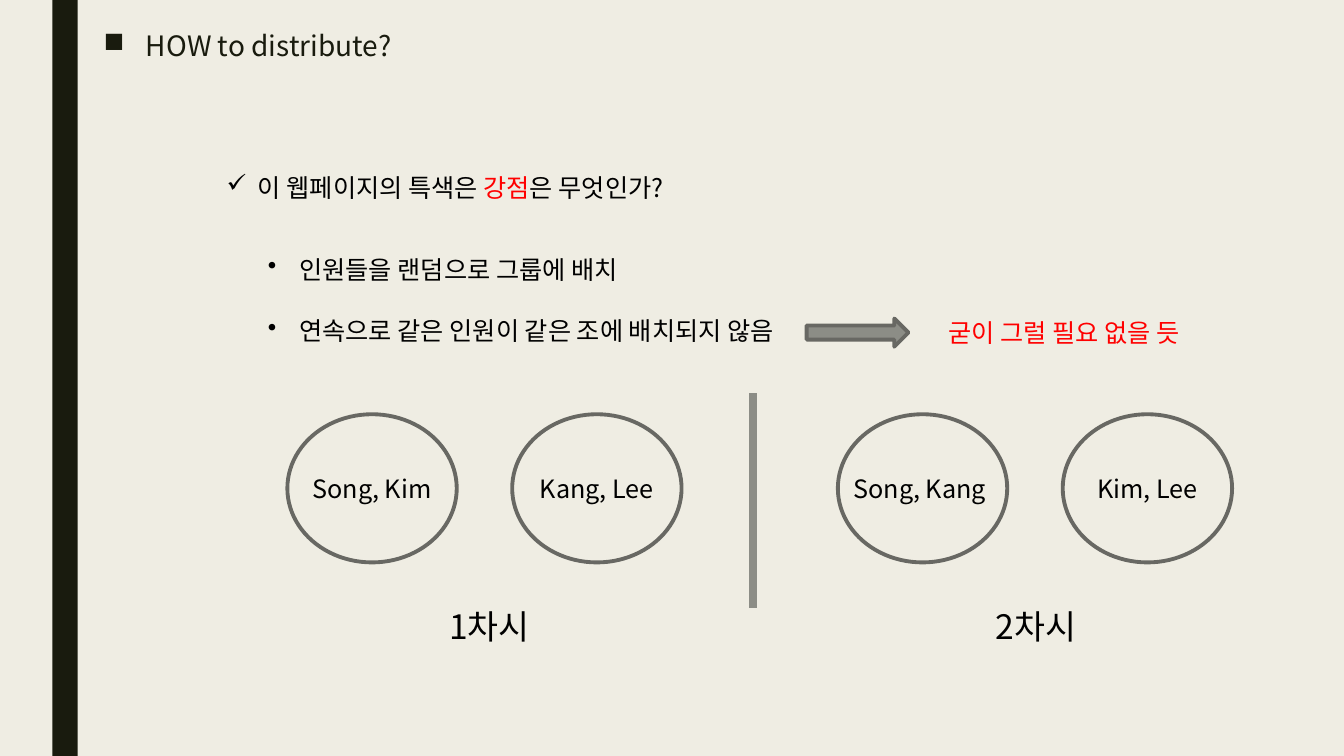
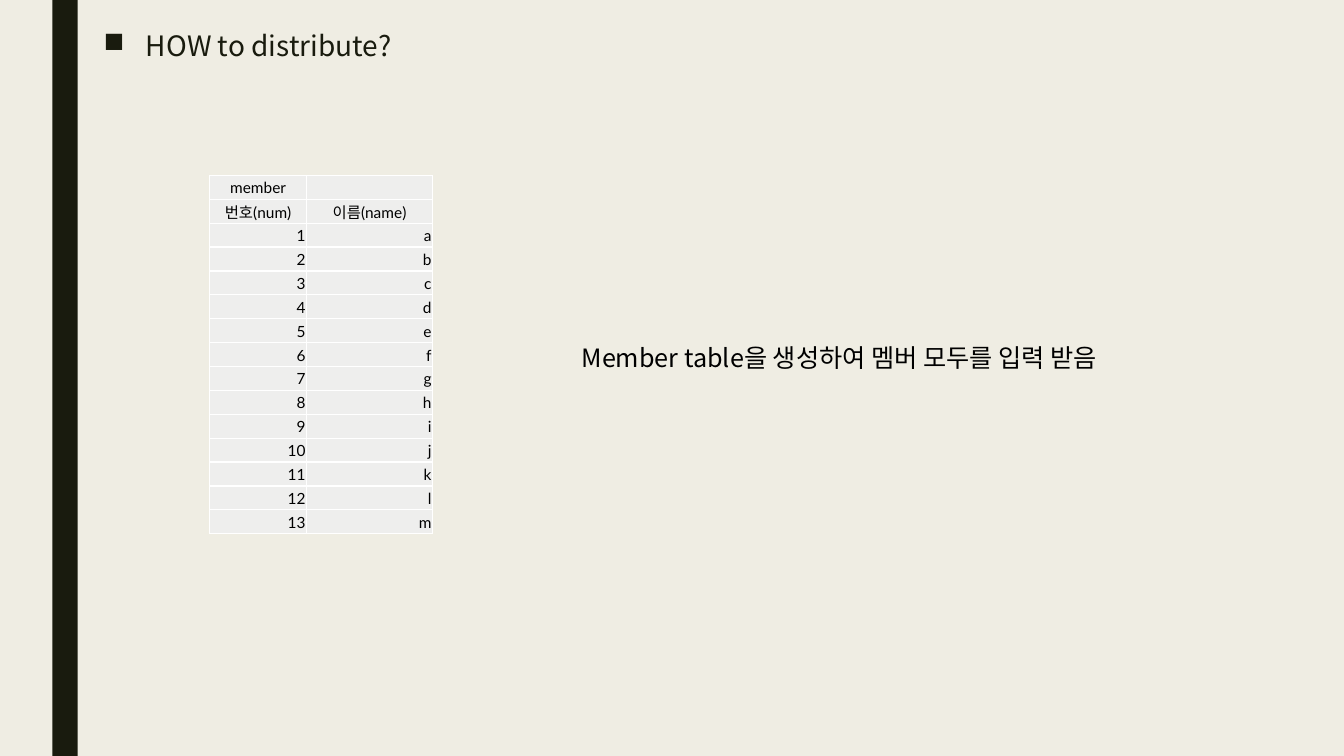
from lxml.etree import SubElement
from pptx import Presentation
from pptx.dml.color import RGBColor
from pptx.enum.shapes import MSO_CONNECTOR as Connector, MSO_SHAPE as Shape
from pptx.enum.text import MSO_ANCHOR as Anchor, MSO_AUTO_SIZE as AutoSize, PP_ALIGN as Align
from pptx.oxml.ns import qn
from pptx.util import Inches, Pt


def rgb(value):
    return RGBColor.from_string(value)


class Deck:
    BACKGROUND = "EFEDE3"
    DARK = "191B0E"
    BLACK = "000000"
    RED = "FF0000"
    GRAY = "8C8D86"
    OUTLINE = "686863"
    CELL = "EEEEED"
    BORDER = "FFFFFF"
    FONT = "Noto Sans CJK KR"
    TABLE_FONT = "Lato"

    def __init__(self):
        self.prs = Presentation()
        self.prs.slide_width = Inches(13.33)
        self.prs.slide_height = Inches(7.5)
        background = self.prs.slide_master.background.fill
        background.solid()
        background.fore_color.rgb = rgb(self.BACKGROUND)
        self.slide = None

    def add_slide(self, title):
        self.slide = self.prs.slides.add_slide(self.prs.slide_layouts[6])
        self.shape(Shape.RECTANGLE, 0.52, 0, 0.25, 7.5, fill=self.DARK)
        heading = self.text(0.93, 0.26, 7.47, 1.19, [(title, self.DARK)],
                            size=20, bullet="■", indent=0.42, grow=False)
        heading.line_spacing = 0.94
        heading.space_before = Pt(10)
        heading.space_after = Pt(2)

    def style_run(self, run, size, color, font):
        run.font.size = Pt(size)
        run.font.name = font
        run.font.color.rgb = rgb(color)
        east_asian = SubElement(run.font._element, qn("a:ea"))
        east_asian.set("typeface", self.FONT)

    def text(self, left, top, width, height, parts, size=18, align=Align.LEFT,
             bullet=None, indent=0.31, grow=True):
        box = self.slide.shapes.add_textbox(
            Inches(left), Inches(top), Inches(width), Inches(height))
        frame = box.text_frame
        frame.word_wrap = True
        frame.auto_size = AutoSize.SHAPE_TO_FIT_TEXT if grow else AutoSize.NONE
        paragraph = frame.paragraphs[0]
        paragraph.alignment = align
        for words, color in parts:
            run = paragraph.add_run()
            run.text = words
            self.style_run(run, size, color, self.FONT)
        if bullet:
            properties = paragraph._p.get_or_add_pPr()
            properties.set("marL", str(Inches(indent)))
            properties.set("indent", str(-Inches(indent)))
            SubElement(properties, qn("a:buChar")).set("char", bullet)
        return paragraph

    def shape(self, kind, left, top, width, height, fill=None, line=None):
        shape = self.slide.shapes.add_shape(
            kind, Inches(left), Inches(top), Inches(width), Inches(height))
        shape.shadow.inherit = False
        if fill:
            shape.fill.solid()
            shape.fill.fore_color.rgb = rgb(fill)
        else:
            shape.fill.background()
        if line:
            shape.line.color.rgb = rgb(line)
            shape.line.width = Pt(2.75)
        else:
            shape.line.fill.background()

    def divider(self, x, top, bottom):
        line = self.slide.shapes.add_connector(
            Connector.STRAIGHT, Inches(x), Inches(top), Inches(x), Inches(bottom))
        line.line.color.rgb = rgb(self.GRAY)
        line.line.width = Pt(6)
        SubElement(line._element.spPr, qn("a:effectLst"))

    def table(self, left, top, column_widths, height, rows, header_rows):
        frame = self.slide.shapes.add_table(
            len(rows), len(column_widths), Inches(left), Inches(top),
            Inches(sum(column_widths)), Inches(height))
        table = frame.table
        table.first_row = False
        table.horz_banding = False
        for column, width in zip(table.columns, column_widths):
            column.width = Inches(width)
        for index, values in enumerate(rows):
            table.rows[index].height = Inches(height / len(rows))
            align = Align.CENTER if index < header_rows else Align.RIGHT
            for cell, value in zip(table.rows[index].cells, values):
                self.fill_cell(cell, value, align)

    def fill_cell(self, cell, value, align):
        cell.margin_left = cell.margin_top = cell.margin_right = Inches(0.01)
        cell.margin_bottom = 0
        cell.vertical_anchor = Anchor.MIDDLE
        properties = cell._tc.get_or_add_tcPr()
        for side in ("a:lnL", "a:lnR", "a:lnT", "a:lnB"):
            border = SubElement(properties, qn(side))
            border.set("w", str(Pt(1)))
            paint = SubElement(border, qn("a:solidFill"))
            SubElement(paint, qn("a:srgbClr")).set("val", self.BORDER)
        cell.fill.solid()
        cell.fill.fore_color.rgb = rgb(self.CELL)
        paragraph = cell.text_frame.paragraphs[0]
        paragraph.text = value
        paragraph.alignment = align
        for run in paragraph.runs:
            self.style_run(run, 11, self.BLACK, self.TABLE_FONT)
        if not value:
            SubElement(paragraph._p, qn("a:endParaRPr")).set("sz", "1100")


def add_strengths_slide(deck):
    deck.add_slide("HOW to distribute?")
    black, red = deck.BLACK, deck.RED
    points = [
        (2.15, 1.66, "✓", [("이 웹페이지의 특색은 ", black), ("강점", red),
                           ("은 무엇인가?", black)]),
        (2.56, 2.47, "•", [("인원들을 랜덤으로 그룹에 배치", black)]),
        (2.56, 3.08, "•", [("연속으로 같은 인원이 같은 조에 배치되지 않음", black)]),
    ]
    for left, top, bullet, parts in points:
        deck.text(left, top, 9.94, 0.4, parts, bullet=bullet)

    group_width, group_pitch, label_width = 1.68, 2.23, 1.8
    sessions = [
        (2.85, 3.97, "1차시", ["Song, Kim", "Kang, Lee"]),
        (8.31, 9.39, "2차시", ["Song, Kang ", "Kim, Lee"]),
    ]
    for first_left, caption_left, caption, groups in sessions:
        for index, members in enumerate(groups):
            left = first_left + index * group_pitch
            deck.shape(Shape.OVAL, left, 4.11, group_width, 1.47, line=deck.OUTLINE)
            deck.text(left - (label_width - group_width) / 2, 4.65, label_width, 0.4,
                      [(members, black)], align=Align.CENTER)
        deck.text(caption_left, 5.96, 1.77, 0.5, [(caption, black)],
                  size=24, align=Align.CENTER)
    deck.divider(7.47, 3.9, 6.03)

    deck.shape(Shape.RIGHT_ARROW, 8, 3.16, 1.01, 0.28, fill=deck.GRAY, line=deck.OUTLINE)
    deck.text(9.31, 3.1, 2.89, 0.4, [("굳이 그럴 필요 없을 듯", red)])


def add_member_slide(deck):
    deck.add_slide("HOW to distribute?")
    members = [(str(number), name) for number, name in enumerate("abcdefghijklm", 1)]
    headers = [("member", ""), ("번호(num)", "이름(name)")]
    deck.table(2.08, 1.74, [0.96, 1.25], 3.56, headers + members, len(headers))
    deck.text(5.67, 3.35, 6, 0.4,
              [("Member table을 생성하여 멤버 모두를 입력 받음", deck.BLACK)])


def main():
    deck = Deck()
    add_strengths_slide(deck)
    add_member_slide(deck)
    deck.prs.save("out.pptx")


if __name__ == "__main__":
    main()
